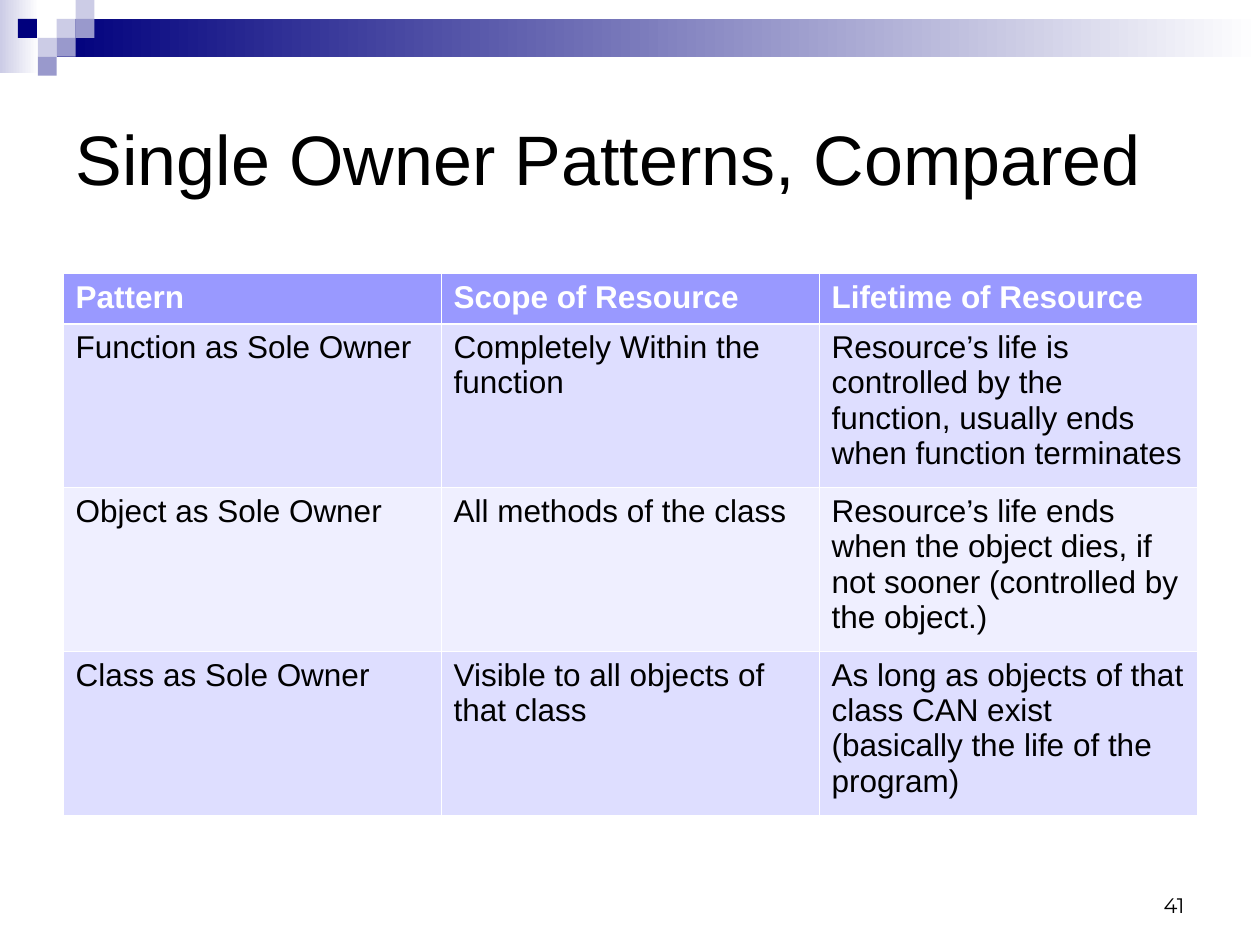
"""Build the slide that compares the single owner patterns."""
import pptx
import pptx.util
import pptx.dml.color
import pptx.enum.shapes
import pptx.enum.text
import pptx.oxml
import pptx.oxml.ns

WIDE, HIGH = 10, 7.5
TITLE = "Single Owner Patterns, Compared"
PAGE = "41"
ROWS = [
    ("Pattern", "Scope of Resource", "Lifetime of Resource"),
    ("Function as Sole Owner", "Completely Within the function",
     "Resource’s life is controlled by the function, usually ends when function terminates"),
    ("Object as Sole Owner", "All methods of the class",
     "Resource’s life ends when the object dies, if not sooner (controlled by the object.)"),
    ("Class as Sole Owner", "Visible to all objects of that class",
     "As long as objects of that class CAN exist (basically the life of the program)"),
]
HEAD, BANDS = "9999FF", ("DEDEFF", "EFEFFF")
NAVY, PALE, MID, WHITE, BLACK = "00007D", "CCCCE6", "9999CC", "FFFFFF", "000000"
FADES = [((0, 0, 0.31, 0.58), PALE), ((0.45, 0.15, 9.55, 0.3), NAVY)]
TILE = 0.15
TILES = [(3, 1, PALE), (4, 0, PALE), (4, 1, MID), (2, 2, PALE),
         (0.95, 1, NAVY), (3, 2, MID), (2, 3, MID)]
EDGE, TOP = WIDE * 0.05, 2.17
SPAN = WIDE - 2 * EDGE
HEIGHTS = [0.4] + [1.3] * 3

Inch, Pt = pptx.util.Inches, pptx.util.Pt
Anchor, Align = pptx.enum.text.MSO_ANCHOR, pptx.enum.text.PP_ALIGN


def shade(text):
    return pptx.dml.color.RGBColor.from_string(text)


def write(frame, text, size=18, font="Arial", color=BLACK, bold=False,
          align=Align.LEFT, anchor=Anchor.TOP):
    frame.word_wrap = True
    frame.vertical_anchor = anchor
    para = frame.paragraphs[0]
    para.alignment = align
    run = para.add_run()
    run.text = text
    run.font.size, run.font.name, run.font.bold = Pt(size), font, bold
    run.font.color.rgb = shade(color)


def block(slide, box, color, fade=False):
    kind = pptx.enum.shapes.MSO_SHAPE.RECTANGLE
    shape = slide.shapes.add_shape(kind, *map(Inch, box))
    shape.shadow.inherit = False
    shape.line.fill.background()
    if fade:
        shape.fill.gradient()
        shape.fill.gradient_angle = 0
        for stop, tone, place in zip(shape.fill.gradient_stops, (color, WHITE), (0, 1)):
            stop.color.rgb = shade(tone)
            stop.position = place
    else:
        shape.fill.solid()
        shape.fill.fore_color.rgb = shade(color)


def border(cell, sides):
    props = cell._tc.get_or_add_tcPr()
    space = pptx.oxml.ns.nsdecls("a")
    for spot, (side, width) in enumerate(sides.items()):
        props.insert(spot, pptx.oxml.parse_xml(
            f'<a:{side} {space} w="{Pt(width)}"><a:solidFill>'
            f'<a:srgbClr val="{WHITE}"/></a:solidFill></a:{side}>'))


def grid(slide):
    count = len(ROWS[0])
    table = slide.shapes.add_table(
        len(ROWS), count, Inch(EDGE), Inch(TOP), Inch(SPAN), Inch(sum(HEIGHTS))).table
    for col in table.columns:
        col.width = Inch(SPAN / count)
    for r, (row, height) in enumerate(zip(ROWS, HEIGHTS)):
        table.rows[r].height = Inch(height)
        head = r == 0
        sides = {"lnL": 0.45, "lnR": 0.45, "lnT": 1.47 if r == 1 else 0.45,
                 "lnB": 1.47 if head else 0.45}
        for c, text in enumerate(row):
            cell = table.cell(r, c)
            cell.fill.solid()
            cell.fill.fore_color.rgb = shade(HEAD if head else BANDS[(r - 1) % 2])
            write(cell.text_frame, text, color=WHITE if head else BLACK, bold=head)
            border(cell, sides)


def main():
    deck = pptx.Presentation()
    deck.slide_width, deck.slide_height = Inch(WIDE), Inch(HIGH)
    slide = deck.slides.add_slide(deck.slide_layouts[5])
    for box, color in FADES:
        block(slide, box, color, fade=True)
    for col, row, color in TILES:
        block(slide, (col * TILE, row * TILE, TILE, TILE), color)
    title = slide.shapes.title
    title.left, title.top, title.width, title.height = map(Inch, (EDGE, 0.5, SPAN, 1.5))
    write(title.text_frame, TITLE, size=40, anchor=Anchor.MIDDLE)
    grid(slide)
    page = slide.shapes.add_textbox(*map(Inch, (7.17, 6.83, 2.33, 0.5)))
    write(page.text_frame, PAGE, size=12, font="Montserrat",
          align=Align.RIGHT, anchor=Anchor.BOTTOM)
    deck.save("out.pptx")


if __name__ == "__main__":
    main()
